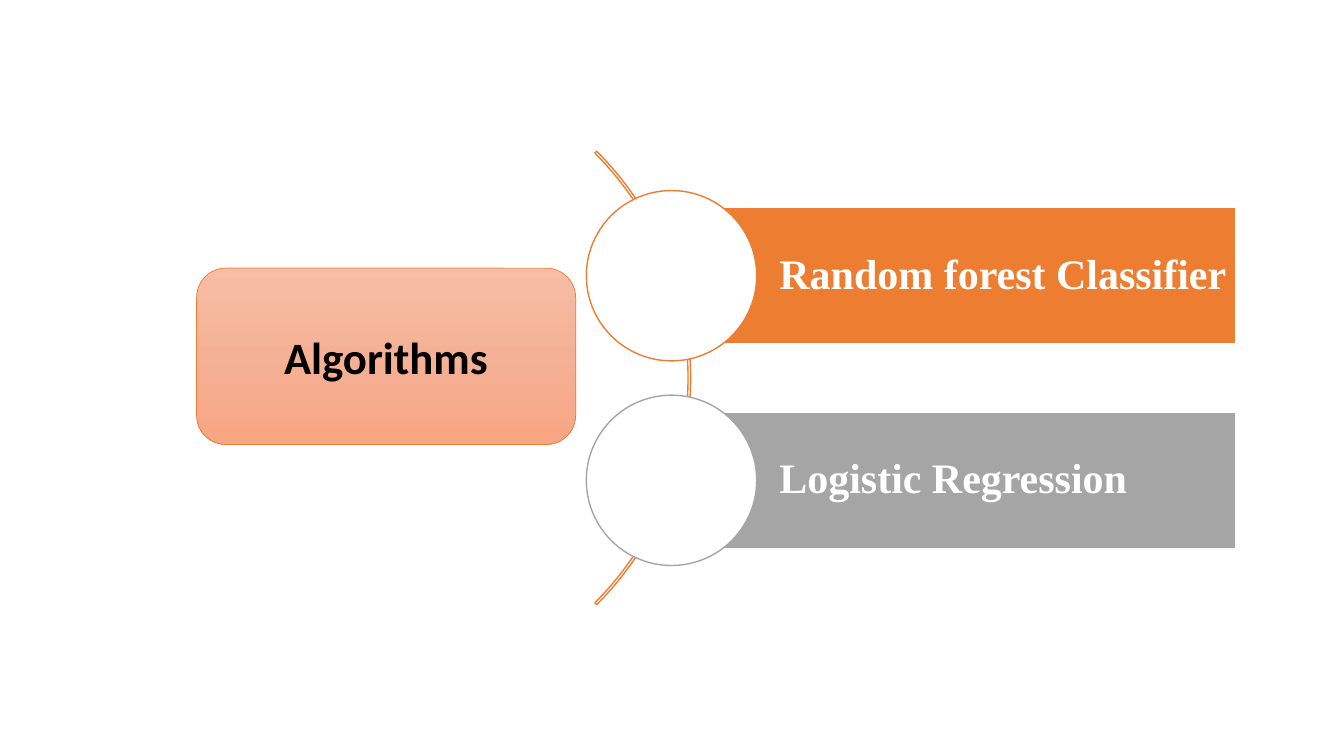
"""Build a slide that branches from Algorithms to two classification methods."""
from copy import deepcopy

from pptx import Presentation, util as u
from pptx.dml.color import RGBColor
from pptx.enum import shapes, text

ORANGE = RGBColor(0xED, 0x7D, 0x31)
GRAY = RGBColor(0xA5, 0xA5, 0xA5)
WHITE = RGBColor(0xFF, 0xFF, 0xFF)
BLACK = RGBColor(0x00, 0x00, 0x00)
PEACH = [RGBColor(0xF7, 0xBD, 0xA5), RGBColor(0xF5, 0xB1, 0x96), RGBColor(0xF8, 0xA5, 0x82)]

BAR_LEFT, BAR_WIDTH, BAR_HEIGHT = 6.66, 5.6, 1.35
CIRCLE = 1.69
FIRST_CENTER, ROW_STEP = 2.735, 2.03

deck = Presentation()
deck.slide_width, deck.slide_height = u.Inches(13.33), u.Inches(7.5)
slide = deck.slides.add_slide(deck.slide_layouts[6])


def add_part(preset, left, top, width, height, fill, line, weight=1):
    part = slide.shapes.add_shape(preset, *map(u.Inches, (left, top, width, height)))
    part.shadow.inherit = False
    if fill is None:
        part.fill.background()
    else:
        part.fill.solid()
        part.fill.fore_color.rgb = fill
    part.line.color.rgb = line
    part.line.width = u.Pt(weight)
    return part


def write(part, words, font, size, color, align):
    frame = part.text_frame
    frame.word_wrap = True
    frame.vertical_anchor = text.MSO_ANCHOR.MIDDLE
    label = frame.paragraphs[0]
    label.text = words
    label.alignment = align
    label.font.name = font
    label.font.size = u.Pt(size)
    label.font.bold = True
    label.font.color.rgb = color
    return frame


arc = add_part(shapes.MSO_SHAPE.BLOCK_ARC, 0.49, 0.57, 6.36, 6.36, None, ORANGE)
for index, angle in enumerate((189, 27, 0.004)):
    arc.adjustments[index] = angle

methods = [("Random forest Classifier", ORANGE), ("Logistic Regression", GRAY)]
for row, (method, color) in enumerate(methods):
    center = FIRST_CENTER + row * ROW_STEP
    bar = add_part(shapes.MSO_SHAPE.RECTANGLE, BAR_LEFT, center - BAR_HEIGHT / 2,
                   BAR_WIDTH, BAR_HEIGHT, color, WHITE)
    frame = write(bar, method, "Times New Roman", 30, WHITE, text.PP_ALIGN.LEFT)
    frame.paragraphs[0].line_spacing = 0.9
    frame.margin_left = u.Inches(1.07)
    frame.margin_top = frame.margin_right = frame.margin_bottom = u.Inches(0.08)
    add_part(shapes.MSO_SHAPE.OVAL, BAR_LEFT - CIRCLE / 2, center - CIRCLE / 2,
             CIRCLE, CIRCLE, WHITE, color)

topic = add_part(shapes.MSO_SHAPE.ROUNDED_RECTANGLE, 1.95, 2.66, 3.76, 1.75,
                 PEACH[0], ORANGE, 0.5)
topic.fill.gradient()
topic.fill.gradient_angle = 270
first_stop = topic.fill.gradient_stops[0]._gs
first_stop.addnext(deepcopy(first_stop))
for stop, color, position in zip(topic.fill.gradient_stops, PEACH, (0, 0.5, 1)):
    stop.color.rgb = color
    stop.position = position
write(topic, "Algorithms", "Calibri", 32, BLACK, text.PP_ALIGN.CENTER)

deck.save("out.pptx")
